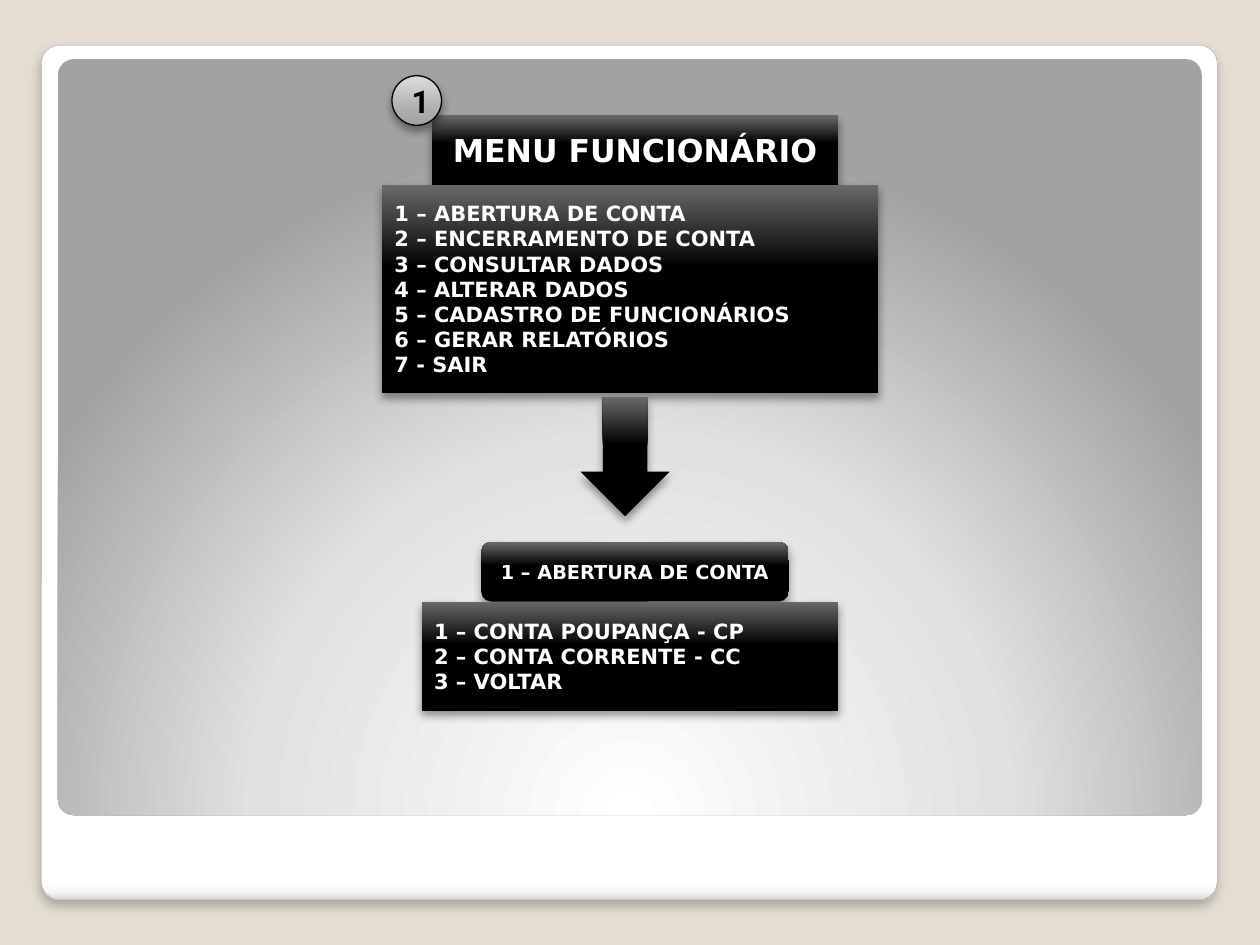
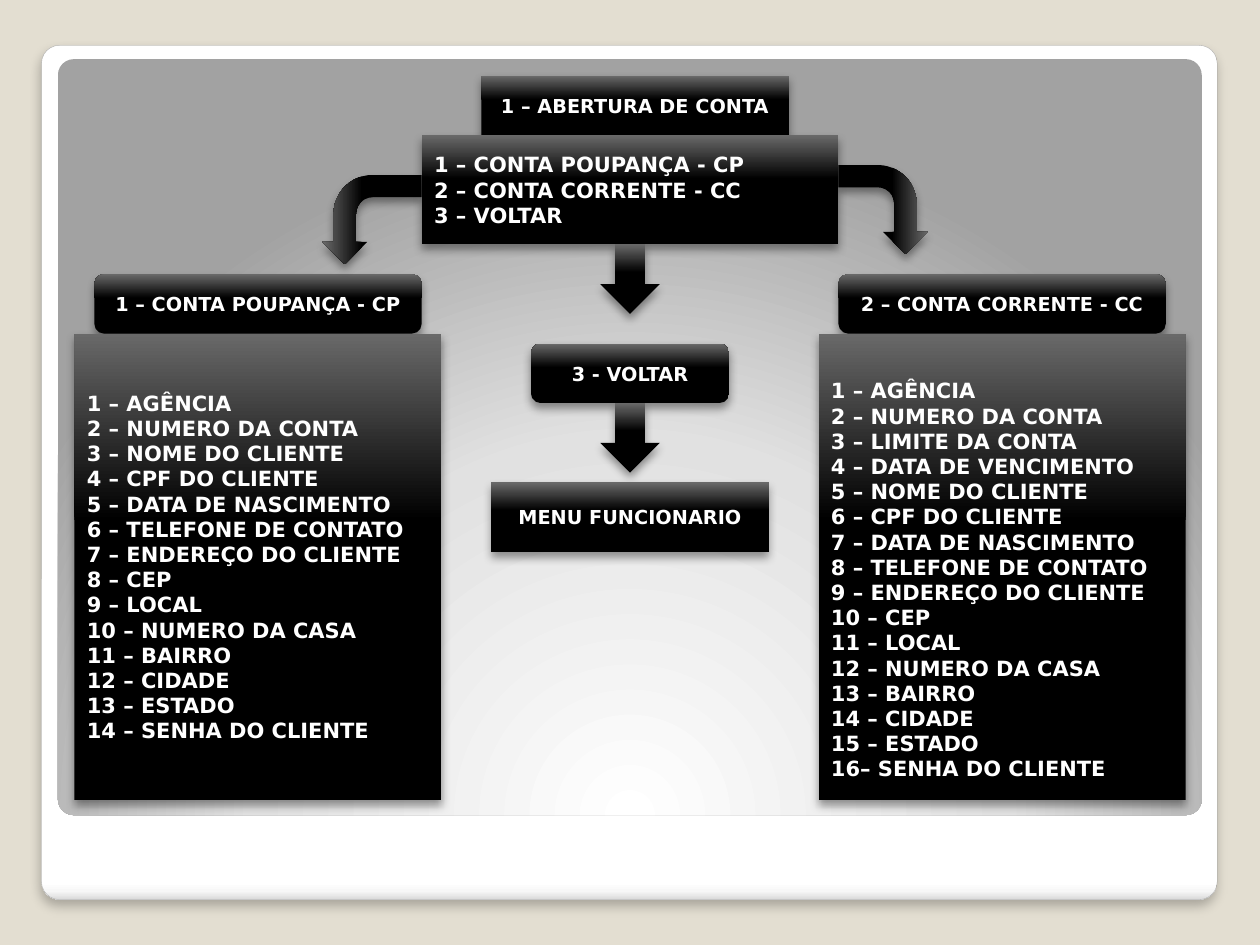
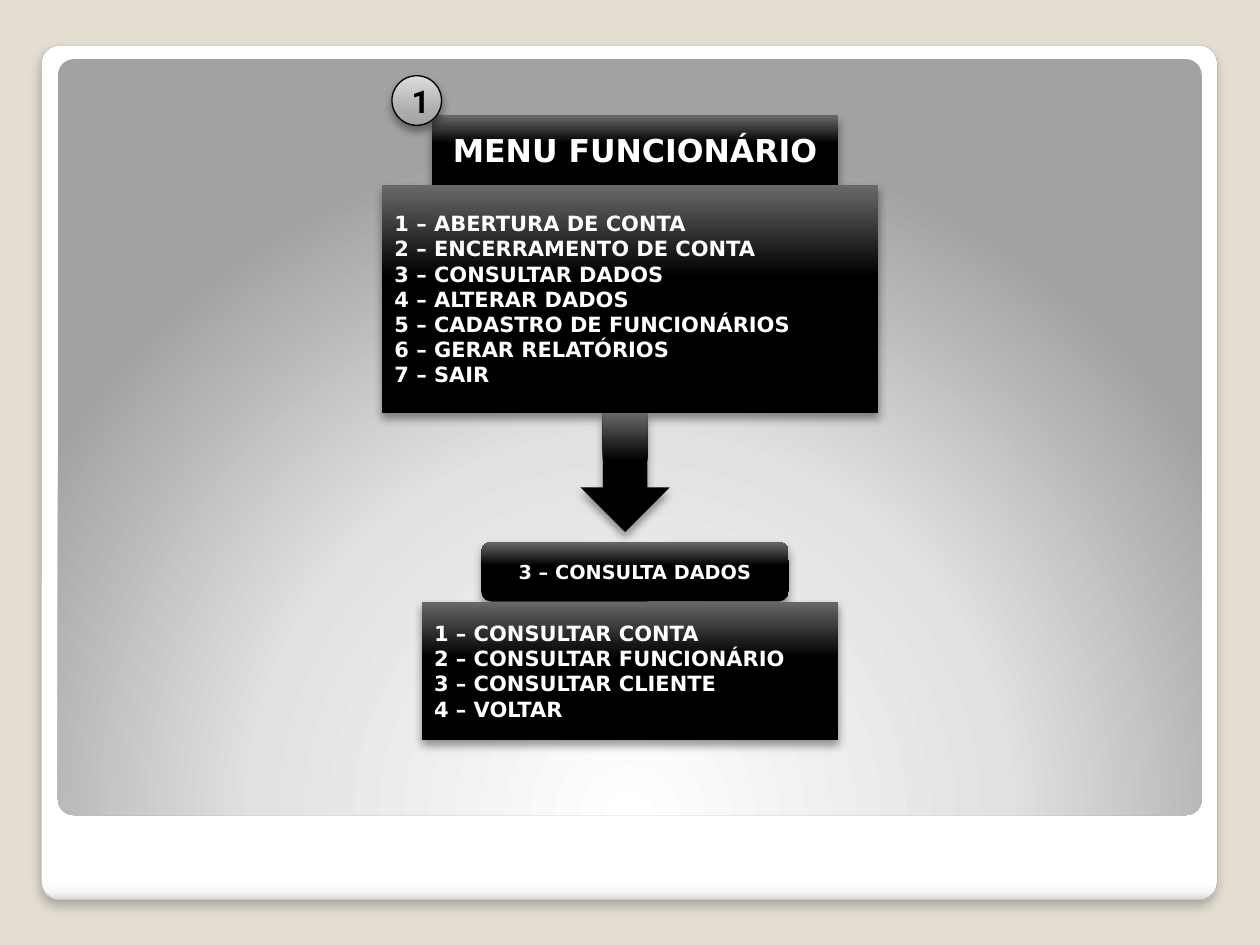
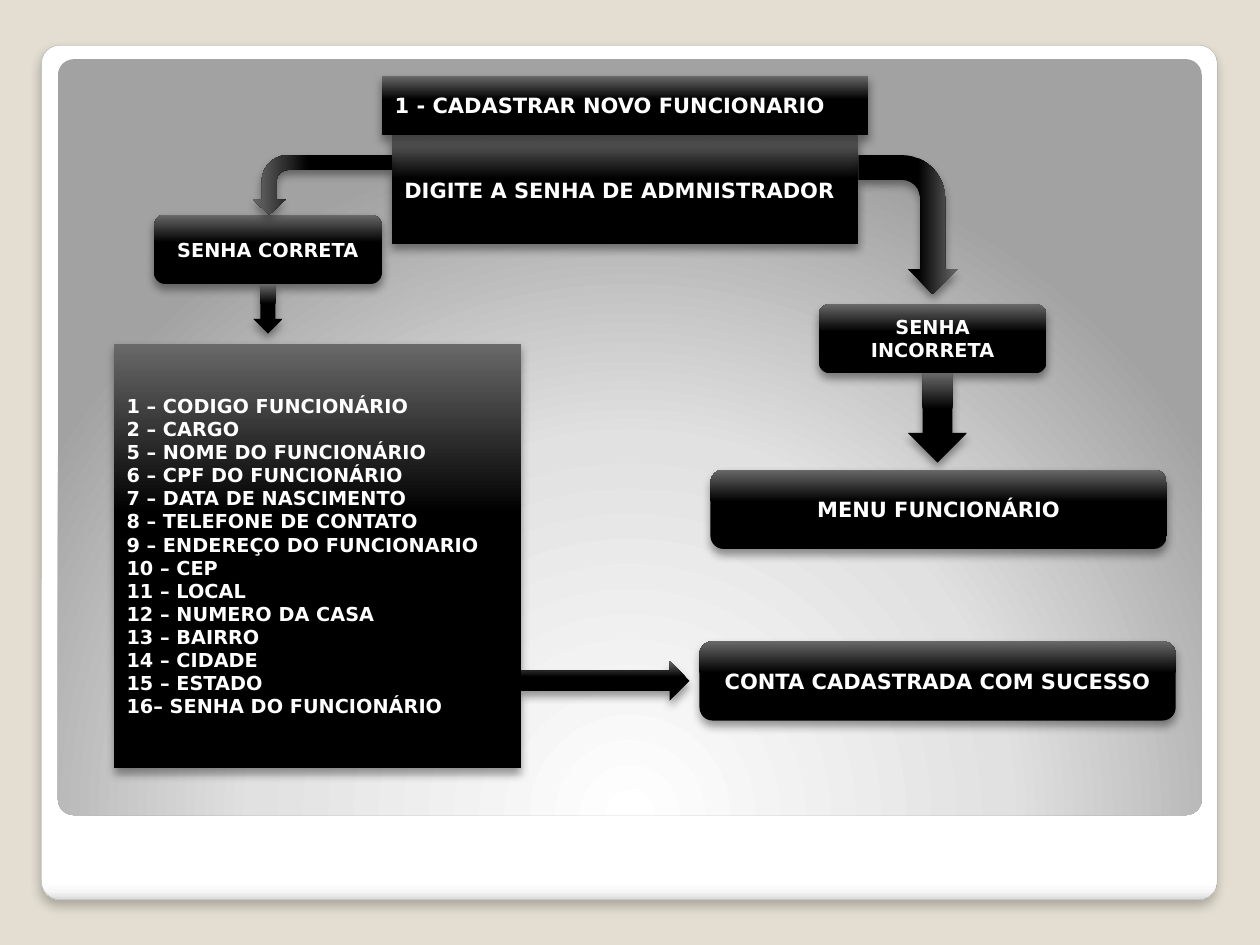
from dataclasses import dataclass, field

from pptx import Presentation
from pptx.dml.color import RGBColor
from pptx.enum.shapes import MSO_SHAPE
from pptx.enum.text import MSO_ANCHOR, MSO_AUTO_SIZE, PP_ALIGN
from pptx.oxml import parse_xml
from pptx.oxml.ns import nsdecls, qn
from pptx.util import Emu, Inches, Pt

RECT = MSO_SHAPE.RECTANGLE
ROUND = MSO_SHAPE.ROUNDED_RECTANGLE
OVAL = MSO_SHAPE.OVAL
DOWN = MSO_SHAPE.DOWN_ARROW
RIGHT = MSO_SHAPE.RIGHT_ARROW
BENT = MSO_SHAPE.BENT_ARROW
LEFT_ALIGN, CENTER = PP_ALIGN.LEFT, PP_ALIGN.CENTER
MIDDLE, NO_AUTOFIT = MSO_ANCHOR.MIDDLE, MSO_AUTO_SIZE.NONE

# Grid of square cells, 127 to the slide's width, with a small outer offset
SLIDE_W, SLIDE_H = Inches(10), Inches(7.5)
CELL = SLIDE_W / 127
OFFSET_X, OFFSET_Y = Inches(0.04), Inches(0.05)
TITLE_ONLY = 5


@dataclass(frozen=True)
class Gradient:
    stops: tuple[tuple[int, str], ...]
    direction: str


@dataclass(frozen=True)
class Shadow:
    alpha: int
    blur: float
    distance: float


UPWARD = '<a:lin ang="16200000" scaled="0"/>'
DOWNWARD = '<a:lin ang="5400000" scaled="0"/>'
FROM_BELOW = ('<a:path path="circle"><a:fillToRect l="50000" t="175000" '
              'r="50000" b="-75000"/></a:path>')


@dataclass(frozen=True)
class Theme:
    background: str = "E3DED1"
    text: str = "FFFFFF"
    badge_text: str = "000000"
    badge_line: str = "000000"
    frame_line: str = "A4A4A4"
    font: str = "DejaVu Sans"
    badge_font: str = "Roboto"
    heading: int = 18
    body: int = 12
    label: int = 11
    glossy: Gradient = Gradient(((0, "000000"), (60, "000000"), (100, "696969")), UPWARD)
    silver: Gradient = Gradient(((0, "A2A2A2"), (25, "ABABAB"), (100, "DCDCDC")), UPWARD)
    frame: Gradient = Gradient(
        ((0, "FFFFFF"), (98, "FFFFFF"), (99, "F7F7F7"), (100, "DADADA")), DOWNWARD)
    stage: Gradient = Gradient(((0, "FFFFFF"), (55, "E1E1E1"), (100, "A2A2A2")), FROM_BELOW)
    part_shadow: Shadow = Shadow(40, 5.2, 3)
    frame_shadow: Shadow = Shadow(25, 6, 4)


THEME = Theme()


@dataclass(frozen=True)
class Part:
    """One shape; cells gives column, row, columns wide and rows high."""
    kind: MSO_SHAPE
    cells: tuple[float, float, float, float]
    lines: tuple[str, ...] = ()
    size: int = THEME.label
    align: PP_ALIGN = CENTER
    is_title: bool = False
    fill: Gradient = THEME.glossy
    shadow: Shadow | None = THEME.part_shadow
    line: tuple[str, float] | None = None
    font: str = THEME.font
    color: str = THEME.text
    rotation: int = 0
    flip: str = ""
    adjustments: tuple[float, ...] = field(default=())
    extra_top: float = 0


# Formatting
def paint(shape, gradient: Gradient) -> None:
    stops = "".join(
        f'<a:gs pos="{share * 1000}"><a:srgbClr val="{color}"/></a:gs>'
        for share, color in gradient.stops)
    shape.fill.background()
    properties = shape.element.spPr
    properties.replace(properties.find(qn("a:noFill")), parse_xml(
        f'<a:gradFill {nsdecls("a")} rotWithShape="1"><a:gsLst>{stops}</a:gsLst>'
        f'{gradient.direction}</a:gradFill>'))


def cast_shadow(shape, shadow: Shadow | None) -> None:
    shape.shadow.inherit = False
    if shadow:
        shape.element.spPr.find(qn("a:effectLst")).append(parse_xml(
            f'<a:outerShdw {nsdecls("a")} blurRad="{Pt(shadow.blur)}" '
            f'dist="{Pt(shadow.distance)}" dir="5400000" rotWithShape="0">'
            f'<a:srgbClr val="000000"><a:alpha val="{shadow.alpha * 1000}"/>'
            f'</a:srgbClr></a:outerShdw>'))


def write(shape, part: Part) -> None:
    frame = shape.text_frame
    frame.word_wrap = True
    frame.auto_size = NO_AUTOFIT
    frame.vertical_anchor = MIDDLE
    frame.margin_top = Inches(0.05 + part.extra_top)
    for number, line in enumerate(part.lines):
        paragraph = frame.add_paragraph() if number else frame.paragraphs[0]
        paragraph.text = line
        paragraph.alignment = part.align
        font = paragraph.font
        font.name, font.size, font.bold = part.font, Pt(part.size), True
        font.color.rgb = RGBColor.from_string(part.color)


# Drawing
def place_title(slide, kind: MSO_SHAPE, box: tuple[Emu, ...]):
    """Shape the title placeholder as a box and bring it to the front."""
    title = slide.shapes.title
    title.left, title.top, title.width, title.height = box
    title.element.spPr.append(parse_xml(
        f'<a:prstGeom {nsdecls("a")} prst="{MSO_SHAPE.to_xml(kind)}"><a:avLst/></a:prstGeom>'))
    slide.element.cSld.spTree.append(title.element)
    return title


def draw(slide, part: Part):
    column, row, wide, high = part.cells
    box = (Emu(round(OFFSET_X + column * CELL)), Emu(round(OFFSET_Y + row * CELL)),
           Emu(round(wide * CELL)), Emu(round(high * CELL)))
    if part.is_title:
        shape = place_title(slide, part.kind, box)
    else:
        shape = slide.shapes.add_shape(part.kind, *box)
    for index, value in enumerate(part.adjustments):
        shape.adjustments[index] = value
    if part.rotation:
        shape.rotation = part.rotation
    if part.flip:
        shape.element.spPr.xfrm.set(part.flip, "1")
    paint(shape, part.fill)
    if part.line:
        color, width = part.line
        shape.line.color.rgb = RGBColor.from_string(color)
        shape.line.width = Pt(width)
    else:
        shape.line.fill.background()
    cast_shadow(shape, part.shadow)
    if part.lines:
        write(shape, part)
    return shape


def numbered(*items: str) -> tuple[str, ...]:
    return tuple(f"{number} – {item}" for number, item in enumerate(items, 1))


def listing(column: float, row: float, wide: float, high: float,
            lines: tuple[str, ...], **options) -> Part:
    return Part(RECT, (column, row, wide, high), lines,
                **{"size": THEME.body, "align": LEFT_ALIGN, **options})


def label(column: float, row: float, wide: float, high: float, text: str, **options) -> Part:
    return Part(ROUND, (column, row, wide, high), (text,), **options)


# Shared panels, kept on the master
PANELS = (
    Part(ROUND, (3.68, 3.94, 118.5, 86.1), fill=THEME.frame, shadow=THEME.frame_shadow,
         line=(THEME.frame_line, 0.16), adjustments=(0.021,)),
    Part(ROUND, (5.33, 5.33, 115.3, 76.2), fill=THEME.stage, shadow=None,
         adjustments=(0.021,)),
)


def move_to_master(master, panels: list) -> None:
    tree = master.element.cSld.spTree
    for position, panel in enumerate(panels):
        panel.element.nvSpPr.cNvPr.set("id", str(100 + position))
        tree.insert(2 + position, panel.element)


# Content
ACCOUNT_KINDS = numbered("CONTA POUPANÇA - CP", "CONTA CORRENTE - CC", "VOLTAR")
ADDRESS = ("CEP", "LOCAL", "NUMERO DA CASA", "BAIRRO", "CIDADE", "ESTADO")
CLIENT = ("NOME DO CLIENTE", "CPF DO CLIENTE", "DATA DE NASCIMENTO",
          "TELEFONE DE CONTATO", "ENDEREÇO DO CLIENTE", *ADDRESS)
STAFF_MENU = numbered("ABERTURA DE CONTA", "ENCERRAMENTO DE CONTA", "CONSULTAR DADOS",
                      "ALTERAR DADOS", "CADASTRO DE FUNCIONÁRIOS", "GERAR RELATÓRIOS")
STAFF_FIELDS = (
    *numbered("CODIGO FUNCIONÁRIO", "CARGO"),
    *(f"{number} – {item}" for number, item in enumerate(
        ("NOME DO FUNCIONÁRIO", "CPF DO FUNCIONÁRIO", "DATA DE NASCIMENTO",
         "TELEFONE DE CONTATO", "ENDEREÇO DO FUNCIONARIO", *ADDRESS), 5)),
    "16– SENHA DO FUNCIONÁRIO",
)


def staff_menu(exit_line: str, menu_rows: float, arrow_row: float, choice: str,
               options: tuple[str, ...], option_rows: float) -> tuple[Part, ...]:
    """The staff menu, leading down to one of its choices."""
    return (
        label(43, 11, 41, 7, "MENU FUNCIONÁRIO", size=THEME.heading, is_title=True),
        listing(38, 18, 50, menu_rows, (*STAFF_MENU, exit_line)),
        label(48, 54, 31, 6, choice),
        listing(42, 60, 42, option_rows, options),
        Part(DOWN, (58, arrow_row, 9, 12)),
        Part(OVAL, (39, 7, 5, 5), ("1",), THEME.heading, fill=THEME.silver,
             line=(THEME.badge_line, 0.75), font=THEME.badge_font, color=THEME.badge_text),
    )


OPEN_ACCOUNT = (
    label(48, 7, 31, 6, "1 – ABERTURA DE CONTA", is_title=True),
    listing(42, 13, 42, 11, ACCOUNT_KINDS),
    label(9, 27, 33, 6, ACCOUNT_KINDS[0]),
    listing(7, 33, 37, 47,
            numbered("AGÊNCIA", "NUMERO DA CONTA", *CLIENT, "SENHA DO CLIENTE")),
    label(84, 27, 33, 6, ACCOUNT_KINDS[1]),
    listing(82, 33, 37, 47,
            (*numbered("AGÊNCIA", "NUMERO DA CONTA", "LIMITE DA CONTA",
                       "DATA DE VENCIMENTO", *CLIENT), "16– SENHA DO CLIENTE"),
            extra_top=0.2),
    Part(BENT, (84, 16, 9, 9), rotation=90),
    Part(BENT, (32.5, 16.5, 9, 10), rotation=90, flip="flipV"),
    label(53, 34, 20, 6, "3 - VOLTAR"),
    Part(DOWN, (60, 24, 6, 7)),
    Part(DOWN, (60, 40, 6, 7)),
    listing(49, 48, 28, 7, ("MENU FUNCIONARIO",), size=THEME.label, align=CENTER),
)

REGISTER_STAFF = (
    listing(39, 13, 47, 11, ("DIGITE A SENHA DE ADMNISTRADOR",)),
    label(15, 21, 23, 7, "SENHA CORRETA"),
    label(82, 30, 23, 7, "SENHA INCORRETA"),
    Part(BENT, (84, 17, 14, 10), rotation=90),
    Part(BENT, (29, 11, 6, 14), rotation=270, flip="flipH",
         adjustments=(0.25, 0.272, 0.25, 0.438)),
    Part(DOWN, (91, 37, 6, 9)),
    label(71.1, 46.7, 46, 8, "MENU FUNCIONÁRIO", size=THEME.body),
    Part(DOWN, (25, 28, 3, 5)),
    label(70, 64, 48, 8, "CONTA CADASTRADA COM SUCESSO", size=THEME.body),
    listing(38, 7, 49, 6, ("1 - CADASTRAR NOVO FUNCIONARIO",), is_title=True),
    listing(11, 34, 41, 42.8, STAFF_FIELDS, size=THEME.label),
    Part(RIGHT, (52, 66, 17, 4)),
)

SLIDES = (
    staff_menu("7 - SAIR", 21, 39.4, "1 – ABERTURA DE CONTA", ACCOUNT_KINDS, 11),
    OPEN_ACCOUNT,
    staff_menu("7 – SAIR", 23, 41, "3 – CONSULTA DADOS",
               numbered("CONSULTAR CONTA", "CONSULTAR FUNCIONÁRIO",
                        "CONSULTAR CLIENTE", "VOLTAR"), 14),
    REGISTER_STAFF,
)


def main() -> None:
    deck = Presentation()
    deck.slide_width, deck.slide_height = SLIDE_W, SLIDE_H
    master = deck.slide_master
    master.background.fill.solid()
    master.background.fill.fore_color.rgb = RGBColor.from_string(THEME.background)
    for number, parts in enumerate(SLIDES):
        slide = deck.slides.add_slide(deck.slide_layouts[TITLE_ONLY])
        if number == 0:
            move_to_master(master, [draw(slide, panel) for panel in PANELS])
        for part in parts:
            draw(slide, part)
    deck.save("out.pptx")


if __name__ == "__main__":
    main()
